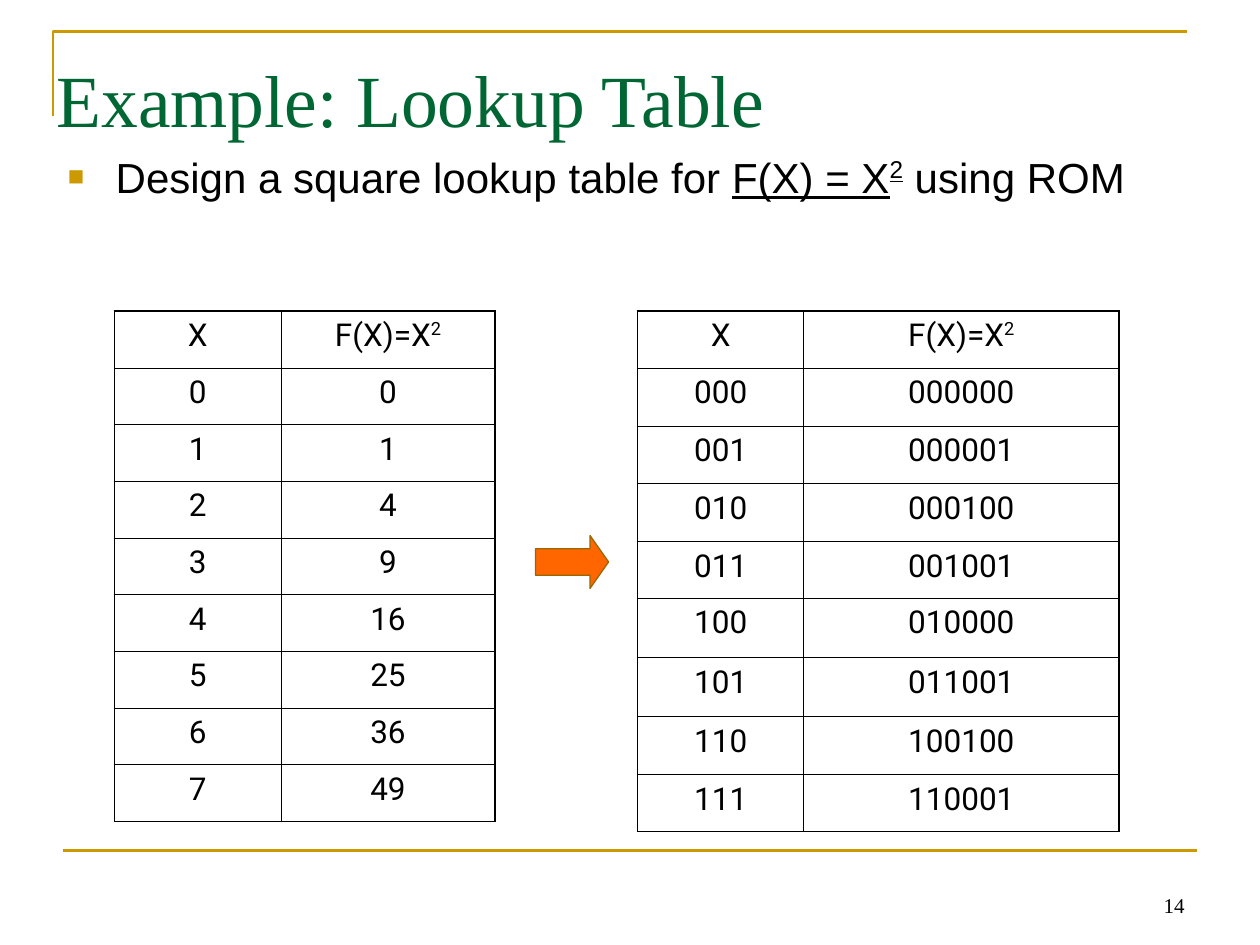
from lxml.etree import SubElement as Sub
from pptx import Presentation
from pptx.dml.color import RGBColor
from pptx.enum.shapes import MSO_CONNECTOR as Conn, MSO_SHAPE as Shape
from pptx.enum.text import MSO_ANCHOR as Anchor, MSO_AUTO_SIZE as Auto, PP_ALIGN as Align
from pptx.oxml.ns import qn
from pptx.util import Inches, Pt


def hue(code):
    return RGBColor.from_string(code)


def write(para, runs, fmt, code="000000"):
    """Add runs of (text, underline, baseline percent) in one format."""
    for text, under, base in runs:
        run = para.add_run()
        run.text = text
        for key, val in fmt.items():
            setattr(run.font, key, val)
        run.font.color.rgb = hue(code)
        if under:
            run.font.underline = True
        if base:
            run.font._element.set("baseline", str(base * 1000))


deck = Presentation()
deck.slide_width, deck.slide_height = Inches(10), Inches(7.5)
slide = deck.slides.add_slide(deck.slide_layouts[5])
shapes = slide.shapes

# Gold bracket above the title and rule above the footer
pen = shapes.build_freeform(Inches(0.42), Inches(0.92))
pen.add_line_segments([(Inches(0.42), Inches(0.25)), (Inches(9.42), Inches(0.25))], close=False)
frame = pen.convert_to_shape()
frame.fill.background()
frame.shadow.inherit = False
rule = shapes.add_connector(Conn.STRAIGHT, Inches(0.5), Inches(6.75), Inches(9.5), Inches(6.75))
Sub(rule._element.spPr, qn("a:effectLst"))
for item in (frame, rule):
    item.line.color.rgb = hue("CC9900")
    item.line.width = Pt(1.5)

# Title, body line and slide number
title = shapes.title
title.left, title.top, title.width, title.height = map(Inches, (0.35, 0.35, 9, 0.83))
body = shapes.add_textbox(*map(Inches, (0.44, 1.15, 8.77, 0.94)))
num = shapes.add_textbox(*map(Inches, (7.17, 6.83, 2.33, 0.5)))
lines = [
    (title, Anchor.BOTTOM, Align.LEFT, "Times New Roman", 42, "006633",
     [("Example: Lookup Table", False, 0)]),
    (body, Anchor.TOP, Align.LEFT, "Arial", 24, "000000",
     [("Design a square lookup table for ", False, 0), ("F(X) = X", True, 0),
      ("2", True, 34), (" using ROM", False, 0)]),
    (num, Anchor.BOTTOM, Align.RIGHT, "Times New Roman", 12, "000000", [("14", False, 0)]),
]
for box, anchor, align, face, size, code, runs in lines:
    text = box.text_frame
    for key, val in {"word_wrap": True, "auto_size": Auto.NONE, "vertical_anchor": anchor}.items():
        setattr(text, key, val)
    para = text.paragraphs[0]
    para.alignment = align
    write(para, runs, {"name": face, "size": Pt(size)}, code)

# Square bullet on the body line
para = body.text_frame.paragraphs[0]
para.space_before = Pt(6)
prop = para._p.get_or_add_pPr()
prop.set("marL", str(Inches(0.38)))
prop.set("indent", str(-Inches(0.38)))
Sub(Sub(prop, qn("a:buClr")), qn("a:srgbClr"), val="CC9900")
Sub(prop, qn("a:buSzPct"), val="65000")
Sub(prop, qn("a:buFont"), typeface="Arial")
Sub(prop, qn("a:buChar"), char="■")

# Decimal and binary tables of squares
nums = range(8)
grids = [
    (0.91, (1.32, 1.7), [0.45] * 9, [(str(x), str(x * x)) for x in nums]),
    (5.06, (1.32, 2.5), [0.45, 0.46, 0.46, 0.46, 0.45, 0.47, 0.47, 0.46, 0.45],
     [(f"{x:03b}", f"{x * x:06b}") for x in nums]),
]
for left, wide, high, data in grids:
    table = shapes.add_table(9, 2, Inches(left), Inches(2.47),
                             Inches(sum(wide)), Inches(sum(high))).table
    table.first_row = table.horz_banding = False
    for col, size in zip(table.columns, wide):
        col.width = Inches(size)
    for row, size in zip(table.rows, high):
        row.height = Inches(size)
    for r, pair in enumerate([("X", "F(X)=X")] + data):
        for c, word in enumerate(pair):
            cell = table.cell(r, c)
            cell.fill.background()
            para = cell.text_frame.paragraphs[0]
            para.alignment = Align.CENTER
            para.space_before = Pt(4.5)
            runs = [(word, False, 0)]
            if (r, c) == (0, 1):
                runs.append(("2", False, 36))
            write(para, runs, {"name": "Roboto", "size": Pt(18)})
            # Thick outer edges, thin inner ones
            prop = cell._tc.get_or_add_tcPr()
            edges = {"lnL": c == 0, "lnR": c == 1, "lnT": r == 0, "lnB": r == 8}
            for spot, (tag, outer) in enumerate(edges.items()):
                edge = Sub(prop, qn("a:" + tag), w=str(Pt(1.08 if outer else 0.45)))
                Sub(Sub(edge, qn("a:solidFill")), qn("a:srgbClr"), val="000000")
                prop.insert(spot, edge)

# Arrow from decimal to binary
arrow = shapes.add_shape(Shape.RIGHT_ARROW, *map(Inches, (4.25, 4.25, 0.58, 0.42)))
arrow.adjustments[0], arrow.adjustments[1] = 0.5, 0.35
arrow.shadow.inherit = False
arrow.fill.solid()
arrow.fill.fore_color.rgb = hue("FF6600")
arrow.line.color.rgb = hue("996600")
arrow.line.width = Pt(0.75)

deck.save("out.pptx")
